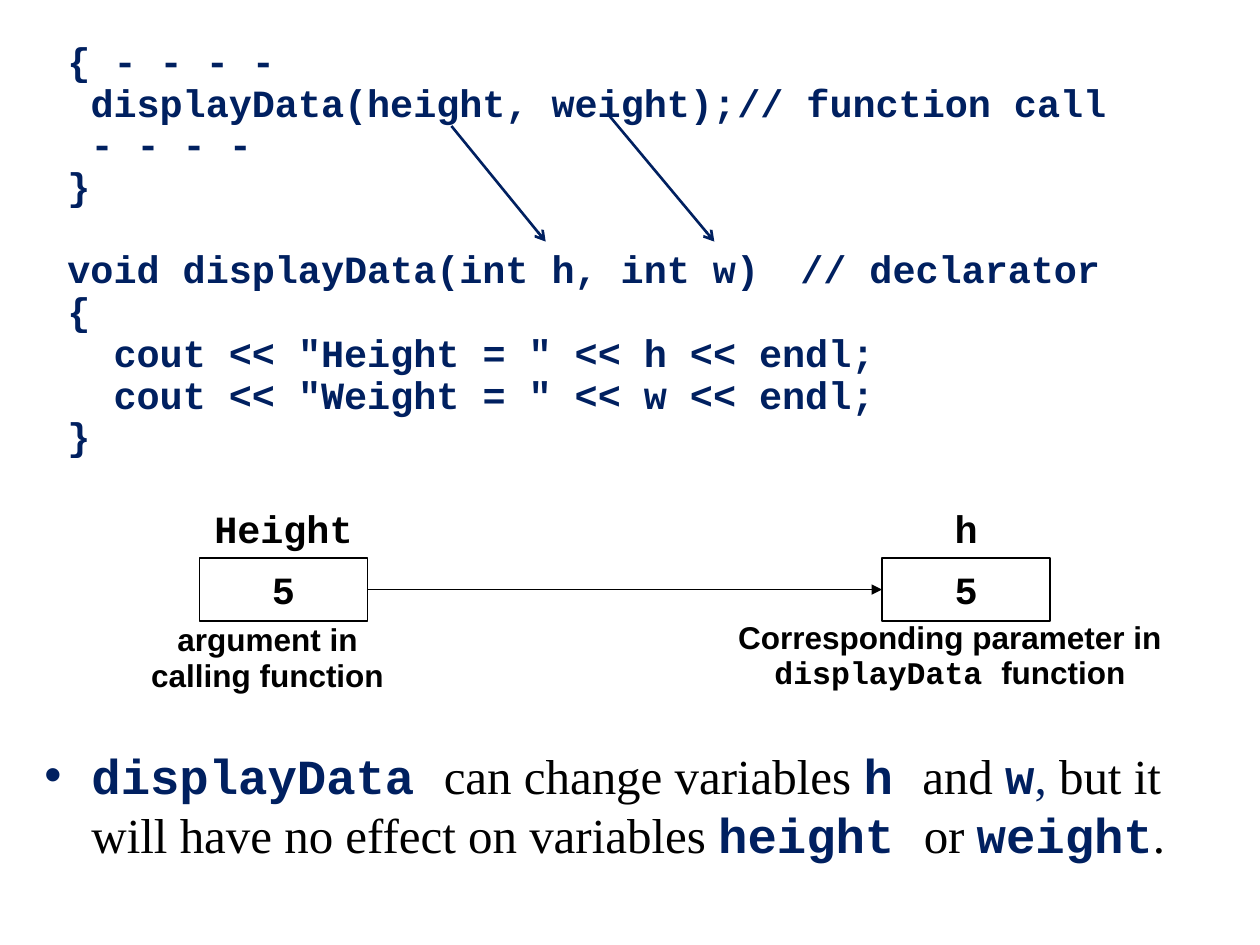
from dataclasses import dataclass
from lxml.etree import SubElement
from pptx import Presentation
from pptx.dml.color import RGBColor as Rgb
from pptx.enum.shapes import MSO_CONNECTOR as Line, MSO_SHAPE as Preset
from pptx.enum.text import MSO_ANCHOR as Anchor, MSO_AUTO_SIZE as AutoSize, PP_ALIGN as Align
from pptx.oxml.ns import qn
from pptx.util import Cm, Pt


@dataclass(frozen=True)
class Theme:
    navy: str = "002060"
    black: str = "000000"
    mono: str = "Courier New"
    sans: str = "Arial"
    serif: str = "Times New Roman"
    code: int = 22
    caption: int = 18
    point: int = 28


theme = Theme()
MONO = (theme.mono, theme.navy, True)
SERIF = (theme.serif, theme.black, False)
VALUE = (theme.mono, theme.black, True)
CAPTION = (theme.sans, theme.black, True)

CODE = [
    (1, "{ - - - -", 0),
    (2, "displayData(height, weight);\t// function call", 0),
    (2, "- - - -", 0),
    (1, "}", 0),
    (1, "void displayData(int h, int w)\t// declarator", 1),
    (1, "{", 0),
    (3, 'cout << "Height = " << h << endl;', 0),
    (3, 'cout << "Weight = " << w << endl;', 0),
    (1, "}", 0),
]
POINT = [
    ("displayData ", MONO), ("can change variables ", SERIF), ("h ", MONO),
    ("and ", SERIF), ("w", MONO), (", ", (theme.serif, theme.navy, False)),
    ("but it will have no effect on variables ", SERIF), ("height ", MONO),
    ("or ", SERIF), ("weight", MONO), (".", SERIF),
]
VARIABLES = [
    dict(name="Height", value="5", left=4.02, caption_box=(1.9, 12.52, 6.99, 2.08), spacing=0.8,
         caption=[[("argument in", CAPTION)], [("calling function", CAPTION)]]),
    dict(name="h", value="5", left=17.78, caption_box=(14.6, 12.52, 9.1, 1.6), spacing=0.75,
         caption=[[("Corresponding parameter in", CAPTION)],
                  [("displayData ", VALUE), ("function", CAPTION)]]),
]
ARGUMENT_ARROWS = [((9.1, 2.54), (11, 4.87)), ((12.28, 2.33), (14.4, 4.87))]
CELL_TOP, CELL_WIDTH, CELL_HEIGHT = 11.25, 3.39, 1.27
NAME_TOP, NAME_HEIGHT = 10.06, 1.19
CHAR_WIDTH, LINE_CHARS = 0.4657, 48
CODE_PITCH, POINT_PITCH, POINT_GAP = 23.8, 33.7, 164
HANG = 0.95


def write(frame, runs, size, first=False, align=Align.LEFT, spacing=1.0, before=0,
          margin=0, indent=0, bullet=None, tab=None):
    paragraph = frame.paragraphs[0] if first else frame.add_paragraph()
    paragraph.alignment = align
    paragraph.line_spacing = spacing
    paragraph.space_before = Pt(before)
    properties = paragraph._p.get_or_add_pPr()
    properties.set("marL", str(Cm(margin)))
    properties.set("indent", str(Cm(indent)))
    if bullet:
        SubElement(properties, qn("a:buChar"), char=bullet)
    else:
        SubElement(properties, qn("a:buNone"))
    if tab:
        stops = SubElement(properties, qn("a:tabLst"))
        SubElement(stops, qn("a:tab"), pos=str(Cm(tab)), algn="r")
    for text, (face, color, bold) in runs:
        run = paragraph.add_run()
        run.text = text
        run.font.name, run.font.size, run.font.bold = face, Pt(size), bold
        run.font.color.rgb = Rgb.from_string(color)


def connect(start, end, color, width, head):
    arrow = slide.shapes.add_connector(Line.STRAIGHT, *map(Cm, start + end))
    arrow.line.color.rgb = Rgb.from_string(color)
    arrow.line.width = Pt(width)
    SubElement(arrow.line._get_or_add_ln(), qn("a:tailEnd"), type=head)
    SubElement(arrow._element.spPr, qn("a:effectLst"))


def label(box, paragraphs, size, spacing=1.0):
    frame = slide.shapes.add_textbox(*map(Cm, box)).text_frame
    frame.word_wrap = True
    for number, runs in enumerate(paragraphs):
        write(frame, runs, size, first=number == 0, align=Align.CENTER,
              spacing=spacing, before=size / 5)


deck = Presentation()
deck.slide_width, deck.slide_height = Cm(25.4), Cm(19.05)
slide = deck.slides.add_slide(deck.slide_layouts[1])
title, body = slide.placeholders
title._element.getparent().remove(title._element)

body.left, body.top, body.width, body.height = map(Cm, (0.64, 0.64, 23.92, 17.78))
lesson = body.text_frame
lesson.auto_size = AutoSize.NONE
lesson.vertical_anchor = Anchor.TOP
lesson.margin_top = Cm(0.2)
for number, (depth, text, gap_lines) in enumerate(CODE):
    write(lesson, [(text, MONO)], theme.code, first=number == 0, spacing=Pt(CODE_PITCH),
          before=gap_lines * CODE_PITCH, indent=depth * CHAR_WIDTH, tab=LINE_CHARS * CHAR_WIDTH)
write(lesson, POINT, theme.point, spacing=Pt(POINT_PITCH), before=POINT_GAP,
      margin=HANG, indent=-HANG, bullet="•")

for start, end in ARGUMENT_ARROWS:
    connect(start, end, theme.navy, 1.5, "arrow")

for variable in VARIABLES:
    left = variable["left"]
    label((left, NAME_TOP, CELL_WIDTH, NAME_HEIGHT), [[(variable["name"], VALUE)]], theme.code)
    label(variable["caption_box"], variable["caption"], theme.caption, variable["spacing"])
    cell = slide.shapes.add_shape(
        Preset.RECTANGLE, *map(Cm, (left, CELL_TOP, CELL_WIDTH, CELL_HEIGHT)))
    cell.shadow.inherit = False
    cell.fill.background()
    cell.line.color.rgb = Rgb.from_string(theme.black)
    cell.line.width = Pt(0.75)
    cell.text_frame.word_wrap = False
    cell.text_frame.vertical_anchor = Anchor.MIDDLE
    write(cell.text_frame, [(variable["value"], VALUE)], theme.code, first=True,
          align=Align.CENTER, before=theme.code / 5)

argument, parameter = VARIABLES
middle = CELL_TOP + CELL_HEIGHT / 2
connect((argument["left"] + CELL_WIDTH, middle), (parameter["left"], middle),
        theme.black, 0.75, "triangle")

deck.save("out.pptx")
